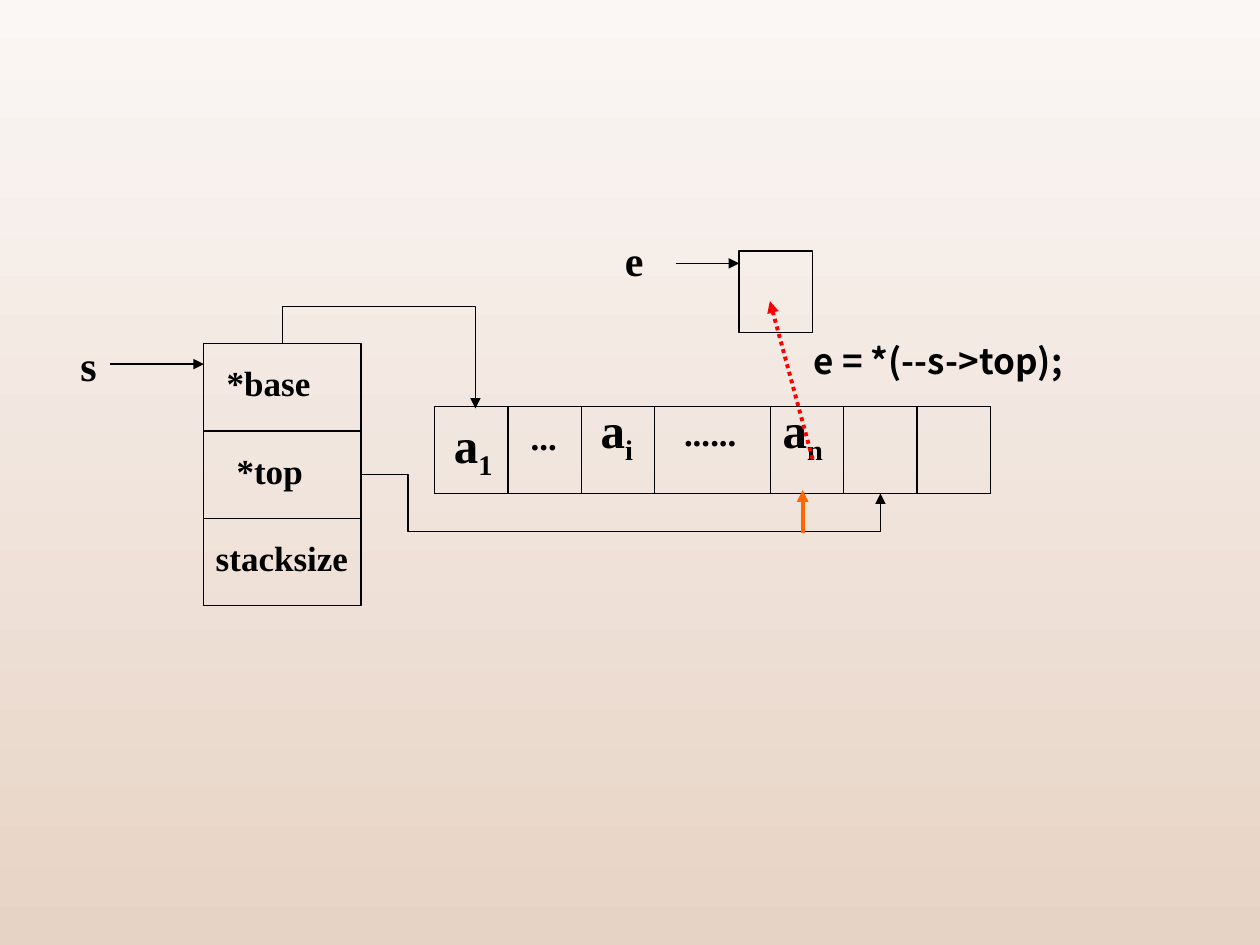
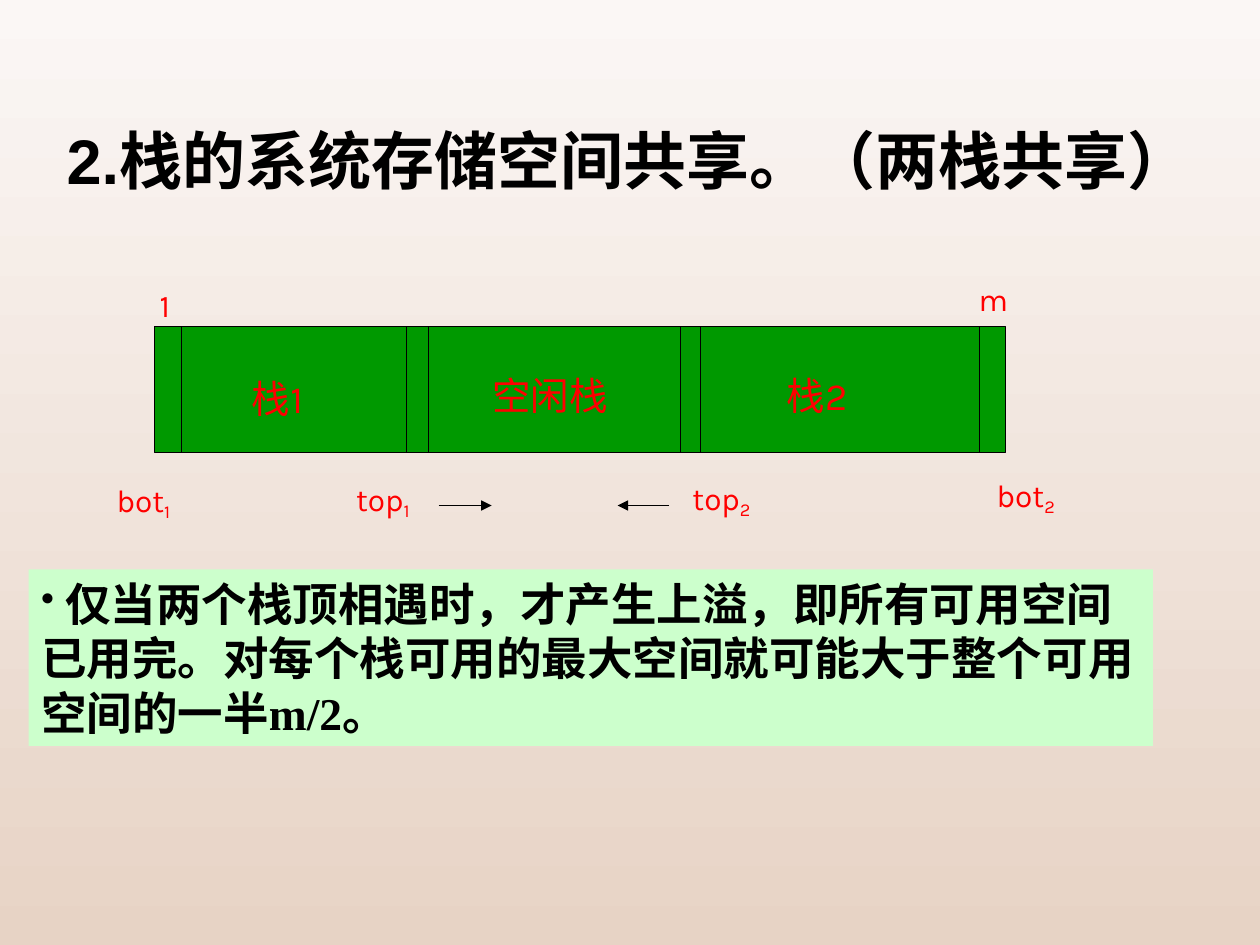
"""Build two slides on stacks: popping an element, and two stacks sharing one space."""
from itertools import accumulate

from lxml import etree
from pptx import Presentation
from pptx.dml.color import RGBColor
from pptx.enum.dml import MSO_LINE
from pptx.enum.shapes import MSO_CONNECTOR, MSO_SHAPE
from pptx.enum.text import MSO_ANCHOR, MSO_AUTO_SIZE, PP_ALIGN
from pptx.oxml.ns import qn
from pptx.util import Cm, Pt

STRAIGHT, ELBOW = MSO_CONNECTOR.STRAIGHT, MSO_CONNECTOR.ELBOW
RECTANGLE = MSO_SHAPE.RECTANGLE
DOTTED = MSO_LINE.ROUND_DOT
TOP, LEFT = MSO_ANCHOR.TOP, PP_ALIGN.LEFT
GROW = MSO_AUTO_SIZE.SHAPE_TO_FIT_TEXT

SERIF, SANS, ROUND, CJK = "Times New Roman", "Arial", "Karla", "Noto Sans CJK SC"
THEME = {
    "colors": {
        "sky": RGBColor.from_string("FBF7F5"),
        "sand": RGBColor.from_string("E7D3C5"),
        "ink": RGBColor.from_string("000000"),
        "red": RGBColor.from_string("FF0000"),
        "orange": RGBColor.from_string("FF6600"),
        "green": RGBColor.from_string("009900"),
        "mint": RGBColor.from_string("CCFFCC"),
    },
    "text": {
        "title": ("ink", {"name": SANS, "size": Pt(36), "bold": True}),
        "field": ("ink", {"name": SERIF, "size": Pt(20), "bold": True}),
        "pointer": ("ink", {"name": SERIF, "size": Pt(24), "bold": True}),
        "element": ("ink", {"name": SERIF, "size": Pt(28), "bold": True}),
        "code": ("ink", {"name": CJK, "size": Pt(20), "bold": True}),
        "note": ("ink", {"name": SERIF, "size": Pt(26), "bold": True}),
        "region": ("red", {"name": ROUND, "size": Pt(22), "bold": False}),
        "index": ("red", {"name": ROUND, "size": Pt(18), "bold": False}),
    },
    "thin": Pt(0.75),
    "thick": Pt(2.25),
}
COLORS = THEME["colors"]


def write(shape, text, style, subscript="", drop="-25000", wrap=True):
    """Put text and an optional subscript into a shape."""
    frame = shape.text_frame
    frame_format = {"word_wrap": wrap, "auto_size": GROW, "vertical_anchor": TOP}
    for key, value in frame_format.items():
        setattr(frame, key, value)
    paragraph = frame.paragraphs[0]
    paragraph.alignment = LEFT
    color, font_format = THEME["text"][style]
    for part in filter(None, (text, subscript)):
        run = paragraph.add_run()
        run.text = part
        for key, value in font_format.items():
            setattr(run.font, key, value)
        run.font.color.rgb = COLORS[color]
        properties = run.font._element
        latin = properties.find(qn("a:latin"))
        east_asian = etree.Element(qn("a:ea"), typeface=CJK)
        latin.addnext(east_asian)
    if subscript:
        properties.set("baseline", drop)


def add_line(slide, start, end, color="ink", width=THEME["thin"], arrow=False, kind=STRAIGHT):
    """Draw a connector between two points in centimetres."""
    line = slide.shapes.add_connector(kind, *map(Cm, start + end))
    line.line.color.rgb = COLORS[color]
    line.line.width = width
    if arrow:
        etree.SubElement(line.line._get_or_add_ln(), qn("a:tailEnd"), type="triangle")
    etree.SubElement(line._element.spPr, qn("a:effectLst"))
    return line


deck = Presentation()
deck.slide_width, deck.slide_height = Cm(25.4), Cm(19.05)
backdrop = deck.slide_master.background.fill
backdrop.gradient()
backdrop.gradient_angle = 270
for stop, shade in zip(backdrop.gradient_stops, ("sky", "sand")):
    stop.color.rgb = COLORS[shade]

pop_slide = deck.slides.add_slide(deck.slide_layouts[6])
row_height = 1.76
record_left, record_top, record_width = 4.1, 6.93, 3.18
array_top = 8.19
array_bottom = array_top + row_height
slot = 1.48
edges = list(accumulate([8.76, slot, slot, slot, 2.33, slot, slot, slot]))

for cell in (
    (record_left, record_top, record_width, 3 * row_height),
    (record_left, record_top + row_height, record_width, row_height),
    (edges[4], array_top, slot, row_height),
    (edges[5], array_top, slot, row_height),
    (14.9, 5.06, slot, 1.65),
):
    outline = pop_slide.shapes.add_shape(RECTANGLE, *map(Cm, cell))
    outline.shadow.inherit = False
    outline.fill.background()
    outline.line.color.rgb = COLORS["ink"]
    outline.line.width = THEME["thin"]

for level in (array_top, array_bottom):
    add_line(pop_slide, (edges[0], level), (edges[-1], level))
for edge in edges[:5] + edges[6:]:
    add_line(pop_slide, (edge, array_top), (edge, array_bottom))

for text, subscript, style, box, wrap in (
    ("*base", "", "field", (4.32, 7.17, 2.4, 1.09), False),
    ("*top", "", "field", (4.52, 8.93, 2, 1.09), False),
    ("stacksize", "", "field", (4.1, 10.7, 3.3, 1.09), False),
    ("a", "1", "element", (8.9, 8.23, 1.35, 1.45), True),
    ("...", "", "field", (10.45, 8.26, 1.1, 1.09), False),
    ("a", "i", "element", (11.86, 7.92, 1.25, 1.45), False),
    ("......", "", "field", (13.54, 8.18, 1.65, 1.09), False),
    ("a", "n", "element", (15.53, 7.92, 1.45, 1.45), False),
    ("s", "", "pointer", (1.37, 6.71, 0.9, 1.27), False),
    ("e", "", "pointer", (12.35, 4.6, 0.95, 1.27), False),
    ("e = *(--s->top);", "", "code", (16.16, 6.71, 6.3, 1.09), False),
):
    label = pop_slide.shapes.add_textbox(*map(Cm, box))
    write(label, text, style, subscript, wrap=wrap)

for preset, (left, top, width, height), turn, bends in (
    ("bentConnector3", (6.99, 5.64, 1.3, 3.89), {"rot": "5400000", "flipV": "1"}, (-57800,)),
    ("bentConnector4", (7.27, 9.57, 10.48, 0.38), {}, (9100, 300000)),
):
    pointer = add_line(
        pop_slide, (left, top), (left + width, top + height), arrow=True, kind=ELBOW
    )
    properties = pointer._element.spPr
    for key, value in turn.items():
        properties.find(qn("a:xfrm")).set(key, value)
    geometry = properties.find(qn("a:prstGeom"))
    geometry.set("prst", preset)
    guides = geometry.find(qn("a:avLst"))
    for number, bend in enumerate(bends, 1):
        etree.SubElement(guides, qn("a:gd"), name=f"adj{number}", fmla=f"val {bend}")

add_line(pop_slide, (13.62, 5.31), (14.9, 5.31), arrow=True)
add_line(pop_slide, (2.21, 7.34), (4.11, 7.34), arrow=True)
popped = add_line(pop_slide, (16.38, 9.25), (15.52, 6.07), "red", THEME["thick"], arrow=True)
popped.line.dash_style = DOTTED
add_line(pop_slide, (16.18, 10.74), (16.18, 9.88), "orange", THEME["thick"], arrow=True)

shared_slide = deck.slides.add_slide(deck.slide_layouts[5])
title = shared_slide.shapes.title
title_place = {"left": Cm(1.09), "top": Cm(2.32), "width": Cm(23.16), "height": Cm(1.78)}
for key, value in title_place.items():
    setattr(title, key, value)
write(title, "2.栈的系统存储空间共享。（两栈共享）", "title")

band_top, band_height = 6.58, 2.54
note = shared_slide.shapes.add_shape(RECTANGLE, *map(Cm, (0.58, 11.48, 22.66, 3.56)))
band = shared_slide.shapes.add_shape(RECTANGLE, *map(Cm, (3.12, band_top, 17.15, band_height)))
for panel, color in ((note, "mint"), (band, "green")):
    panel.shadow.inherit = False
    panel.fill.solid()
    panel.fill.fore_color.rgb = COLORS[color]
note.line.fill.background()
band.line.color.rgb = COLORS["ink"]
band.line.width = THEME["thin"]
write(
    note,
    " 仅当两个栈顶相遇时，才产生上溢，即所有可用空间已用完。"
    "对每个栈可用的最大空间就可能大于整个可用空间的一半m/2。",
    "note",
)
bullet_parent = note.text_frame.paragraphs[0]._p.get_or_add_pPr()
etree.SubElement(bullet_parent, qn("a:buSzPct"), val="85000")
etree.SubElement(bullet_parent, qn("a:buChar"), char="•")

for divider in (3.66, 8.2, 8.64, 13.72, 14.12, 19.74):
    add_line(shared_slide, (divider, band_top), (divider, band_top + band_height))

for text, subscript, style, box in (
    ("栈1", "", "region", (4.83, 7.44, 2.11, 1.19)),
    ("空闲栈", "", "region", (9.68, 7.38, 2.97, 1.19)),
    ("栈2", "", "region", (15.61, 7.38, 2.11, 1.19)),
    ("bot", "1", "index", (2.1, 9.58, 2.11, 1.02)),
    ("top", "1", "index", (6.93, 9.55, 2.11, 1.02)),
    ("top", "2", "index", (13.71, 9.54, 2.11, 1.02)),
    ("bot", "2", "index", (19.84, 9.47, 2.11, 1.02)),
    ("1", "", "index", (2.97, 5.64, 0.64, 1.02)),
    ("m", "", "index", (19.48, 5.53, 0.64, 1.02)),
):
    label = shared_slide.shapes.add_textbox(*map(Cm, box))
    write(label, text, style, subscript, drop="-18000")

for start, end in ((8.84, 9.91), (13.49, 12.45)):
    add_line(shared_slide, (start, 10.19), (end, 10.19), arrow=True)

deck.save("out.pptx")
